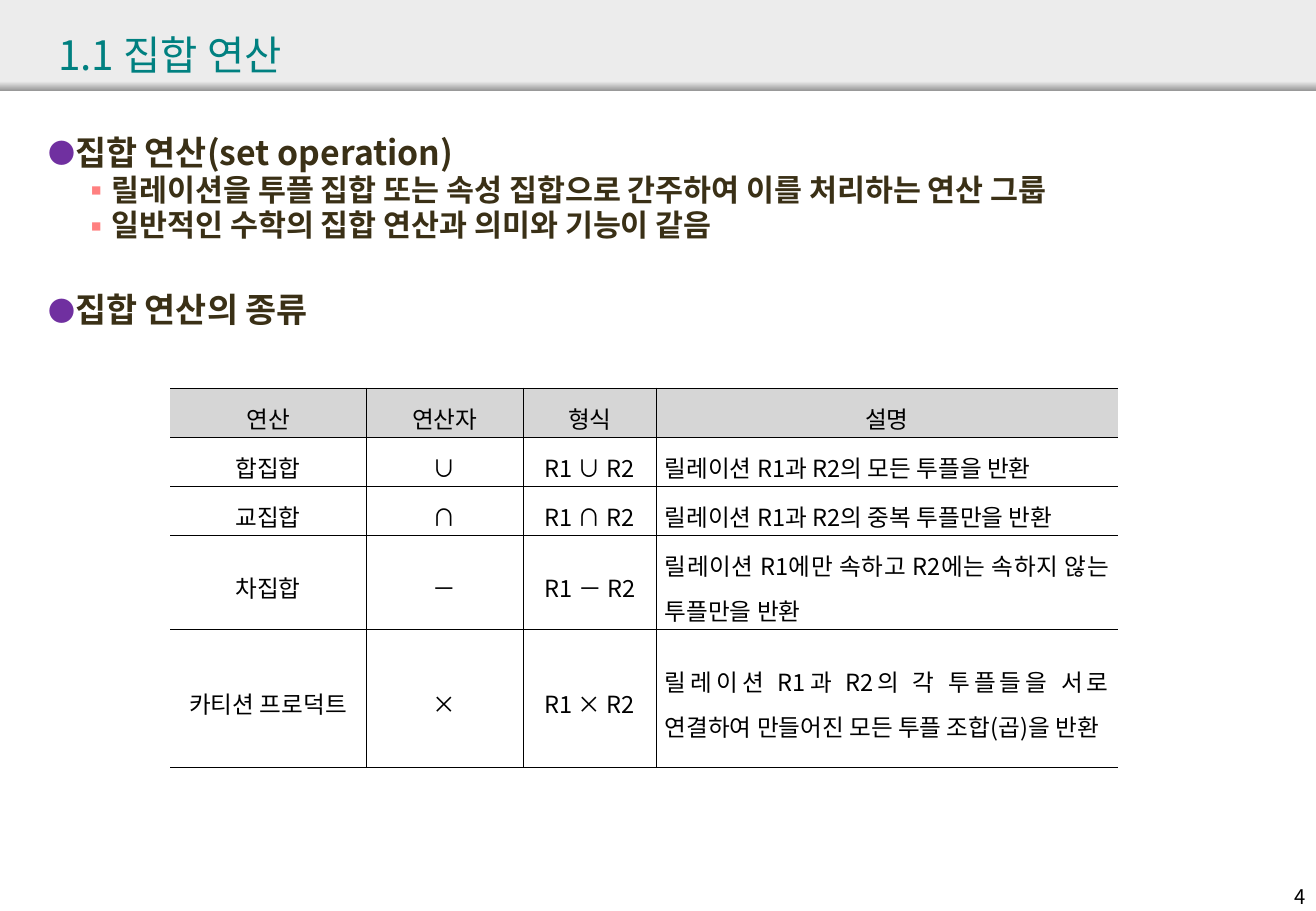
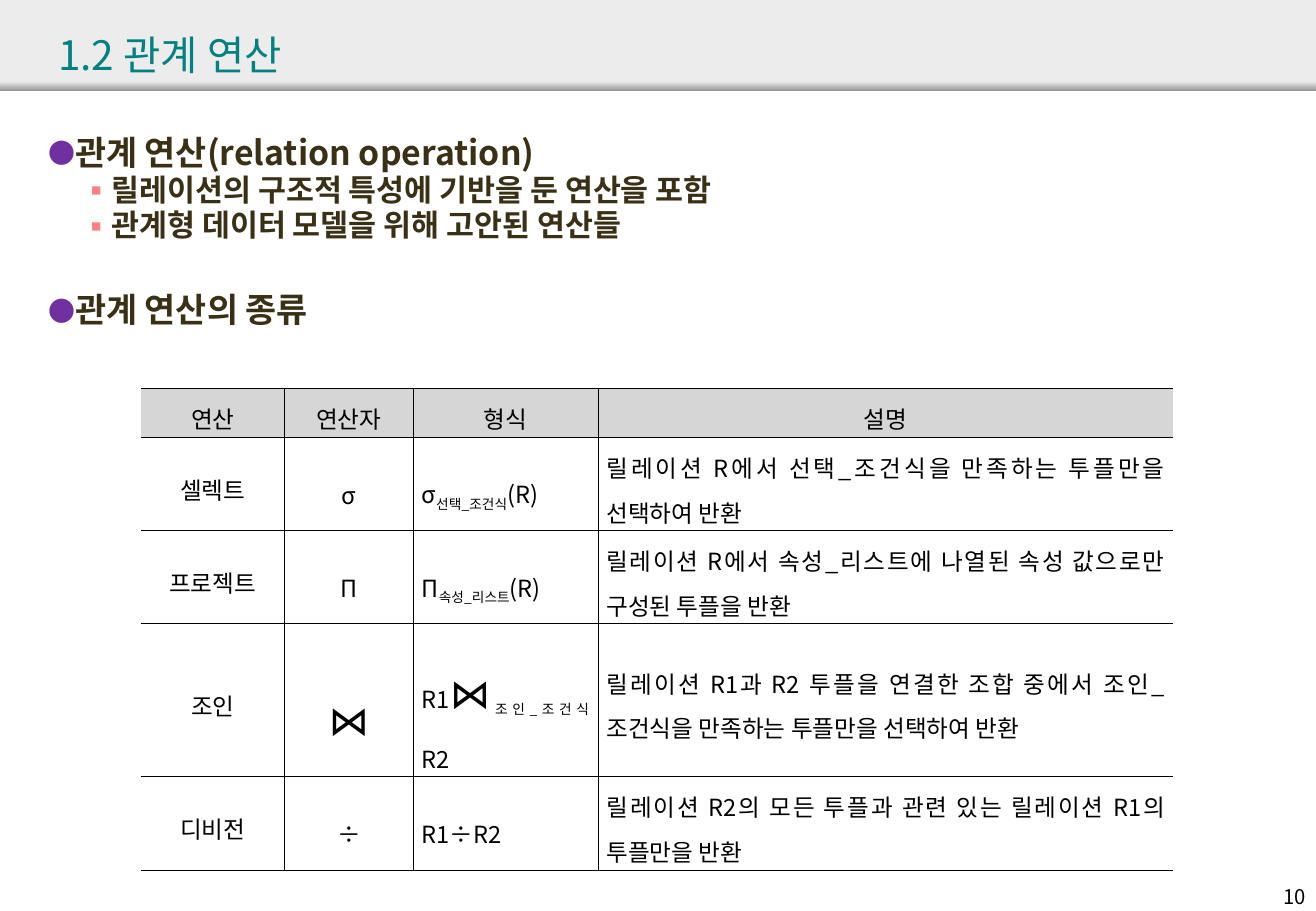
from lxml import etree
from pptx import Presentation
from pptx.dml.color import RGBColor
from pptx.enum import shapes, text
from pptx.oxml import ns
from pptx.util import Cm, Pt

FONT = "Noto Sans CJK KR"
BLACK, TEAL, BROWN = "000000", "008080", "3A3016"
BAND, BAND_EDGE, HEADER = "ECECEC", "979797", "D6D6D6"
WIDTH, HEIGHT = 27.52, 19.05
CENTER, JUSTIFY = text.PP_ALIGN.CENTER, text.PP_ALIGN.JUSTIFY

# level: bullet, bullet colour, bullet size in percent, left indent, text size
BULLETS = {0: ("●", "7030A0", 80, 0.5, 20), 1: ("▪", "FF8080", 100, 1.19, 18)}
HANGING = 0.5


def color(value):
    return RGBColor.from_string(value)


def sub(parent, tag, **attributes):
    """Append a DrawingML child element."""
    names = {name: str(value) for name, value in attributes.items()}
    return etree.SubElement(parent, ns.qn("a:" + tag), names)


def write(paragraph, content, size=14, ink=BLACK, bold=False, align=None, spacing=None):
    """Fill a paragraph from a string or from (text, options) runs."""
    paragraph.alignment = align
    paragraph.line_spacing = spacing
    for words, options in [(content, {})] if isinstance(content, str) else content:
        run = paragraph.add_run()
        run.text = words
        run.font.name = FONT
        run.font.size = Pt(options.get("size", size))
        run.font.bold = bold
        run.font.color.rgb = color(ink)
        properties = run.font._element
        sub(properties, "ea", typeface=FONT)
        if options.get("subscript"):
            properties.set("baseline", "-25000")


def add_bullet(paragraph, level):
    mark, ink, percent, indent, _ = BULLETS[level]
    properties = paragraph._p.get_or_add_pPr()
    properties.set("marL", str(Cm(indent)))
    properties.set("indent", str(-Cm(HANGING)))
    sub(sub(properties, "buClr"), "srgbClr", val=ink)
    sub(properties, "buSzPct", val=percent * 1000)
    sub(properties, "buFont", typeface=FONT)
    sub(properties, "buChar", char=mark)


def set_borders(cell, visible):
    """Draw the sides named in visible, and clear the others."""
    properties = cell._tc.get_or_add_tcPr()
    for index, side in enumerate("LRTB"):
        line = etree.Element(ns.qn("a:ln" + side), {"w": str(Pt(0.28))})
        if side in visible:
            sub(sub(line, "solidFill"), "srgbClr", val=BLACK)
        else:
            sub(line, "noFill")
        properties.insert(index, line)


class Deck:
    def __init__(self):
        self.presentation = Presentation()
        self.presentation.slide_width = Cm(WIDTH)
        self.presentation.slide_height = Cm(HEIGHT)
        self.slide = None

    def add_slide(self, title, number):
        self.slide = self.presentation.slides.add_slide(self.presentation.slide_layouts[6])
        self.add_bar(0, 1.9).solid()
        self.slide.shapes[-1].fill.fore_color.rgb = color(BAND)
        edge = self.add_bar(1.7, 0.2)
        edge.gradient()
        edge.gradient_angle = 270
        for stop, ink in zip(edge.gradient_stops, (BAND, BAND_EDGE)):
            stop.color.rgb = color(ink)
        write(self.add_frame(26.16, 18.36, 1.4, 0.76).paragraphs[0], number,
              size=12, align=text.PP_ALIGN.RIGHT)
        frame = self.add_frame(0.97, 0.33, 25.2, 1.6)
        frame.vertical_anchor = text.MSO_ANCHOR.MIDDLE
        write(frame.paragraphs[0], title, size=24, ink=TEAL)

    def add_bar(self, top, height):
        """Add a full-width rectangle and return its fill."""
        bar = self.slide.shapes.add_shape(
            shapes.MSO_SHAPE.RECTANGLE, 0, Cm(top), Cm(WIDTH), Cm(height))
        bar.shadow.inherit = False
        bar.line.fill.background()
        return bar.fill

    def add_frame(self, left, top, width, height):
        box = self.slide.shapes.add_textbox(Cm(left), Cm(top), Cm(width), Cm(height))
        box.text_frame.word_wrap = True
        return box.text_frame

    def add_outline(self, items):
        """Add bullets from (level, text, space before) items."""
        frame = self.add_frame(0.76, 2.72, 26.2, 15.8)
        for index, (level, words, before) in enumerate(items):
            paragraph = frame.add_paragraph() if index else frame.paragraphs[0]
            write(paragraph, words, size=BULLETS[level][4], ink=BROWN, bold=True, spacing=0.9)
            paragraph.space_before = Pt(before)
            add_bullet(paragraph, level)

    def add_table(self, left, widths, heights, rows, styles):
        """Add a table; styles holds (alignment, line spacing) for each column."""
        table = self.slide.shapes.add_table(
            len(rows), len(widths), Cm(left), Cm(8.11),
            Cm(sum(widths)), Cm(sum(heights))).table
        table.first_row = table.horz_banding = False
        for column, width in zip(table.columns, widths):
            column.width = Cm(width)
        for row, height in zip(table.rows, heights):
            row.height = Cm(height)
        last = len(widths) - 1
        for r, row in enumerate(rows):
            for c, content in enumerate(row):
                cell = table.cell(r, c)
                cell.vertical_anchor = text.MSO_ANCHOR.MIDDLE
                cell.margin_left = cell.margin_right = Cm(0.18)
                cell.margin_top = cell.margin_bottom = Cm(0.05)
                if r == 0:
                    cell.fill.solid()
                    cell.fill.fore_color.rgb = color(HEADER)
                else:
                    cell.fill.background()
                set_borders(cell, "TB" + "L" * (c > 0) + "R" * (c < last))
                align, spacing = styles[c] if r else (CENTER, 1.3)
                write(cell.text_frame.paragraphs[0], content, align=align, spacing=spacing)


HEADINGS = ("연산", "연산자", "형식", "설명")
ONE_LINE, TWO_LINES, THREE_LINES, JOIN_ROW = 1.03, 1.95, 2.9, 3.2
SUBSCRIPT, LARGE = {"subscript": True}, {"size": 24}


def main():
    deck = Deck()

    deck.add_slide("1.1 집합 연산", "4")
    deck.add_outline([
        (0, "집합 연산(set operation)", 0),
        (1, "릴레이션을 투플 집합 또는 속성 집합으로 간주하여 이를 처리하는 연산 그룹", 1.5),
        (1, "일반적인 수학의 집합 연산과 의미와 기능이 같음", 1.5),
        (0, "집합 연산의 종류", 30),
    ])
    deck.add_table(
        3.56, (4.09, 3.3, 2.77, 9.65),
        (ONE_LINE, ONE_LINE, ONE_LINE, TWO_LINES, THREE_LINES),
        [
            HEADINGS,
            ("합집합", "∪", "R1 ∪ R2", "릴레이션 R1과 R2의 모든 투플을 반환"),
            ("교집합", "∩", "R1 ∩ R2", "릴레이션 R1과 R2의 중복 투플만을 반환"),
            ("차집합", "－", "R1 － R2",
             "릴레이션 R1에만 속하고 R2에는 속하지 않는 투플만을 반환"),
            ("카티션 프로덕트", "×", "R1 × R2",
             "릴레이션 R1과 R2의 각 투플들을 서로 연결하여 만들어진 모든 투플 조합(곱)을 반환"),
        ],
        [(CENTER, 1.3)] * 3 + [(JUSTIFY, 1.3)])

    deck.add_slide("1.2 관계 연산", "10")
    deck.add_outline([
        (0, "관계 연산(relation operation)", 0),
        (1, "릴레이션의 구조적 특성에 기반을 둔 연산을 포함", 1.5),
        (1, "관계형 데이터 모델을 위해 고안된 연산들", 1.5),
        (0, "관계 연산의 종류", 30),
    ])
    deck.add_table(
        2.95, (3, 2.69, 3.86, 12.04),
        (ONE_LINE, TWO_LINES, TWO_LINES, JOIN_ROW, TWO_LINES),
        [
            HEADINGS,
            ("셀렉트", "σ", [("σ", {}), ("선택_조건식", SUBSCRIPT), ("(R)", {})],
             "릴레이션 R에서 선택_조건식을 만족하는 투플만을 선택하여 반환"),
            ("프로젝트", "Π", [("Π", {}), ("속성_리스트", SUBSCRIPT), ("(R)", {})],
             "릴레이션 R에서 속성_리스트에 나열된 속성 값으로만 구성된 투플을 반환"),
            ("조인", [("⋈", LARGE)],
             [("R1", {}), ("⋈", LARGE), ("조인_조건식", SUBSCRIPT), ("R2", {})],
             "릴레이션 R1과 R2 투플을 연결한 조합 중에서 조인_조건식을 만족하는 투플만을 선택하여 반환"),
            ("디비전", "÷", "R1÷R2",
             "릴레이션 R2의 모든 투플과 관련 있는 릴레이션 R1의 투플만을 반환"),
        ],
        [(CENTER, 1.3), (CENTER, 1.6), (JUSTIFY, 1.6), (JUSTIFY, 1.3)])

    deck.presentation.save("out.pptx")


if __name__ == "__main__":
    main()
